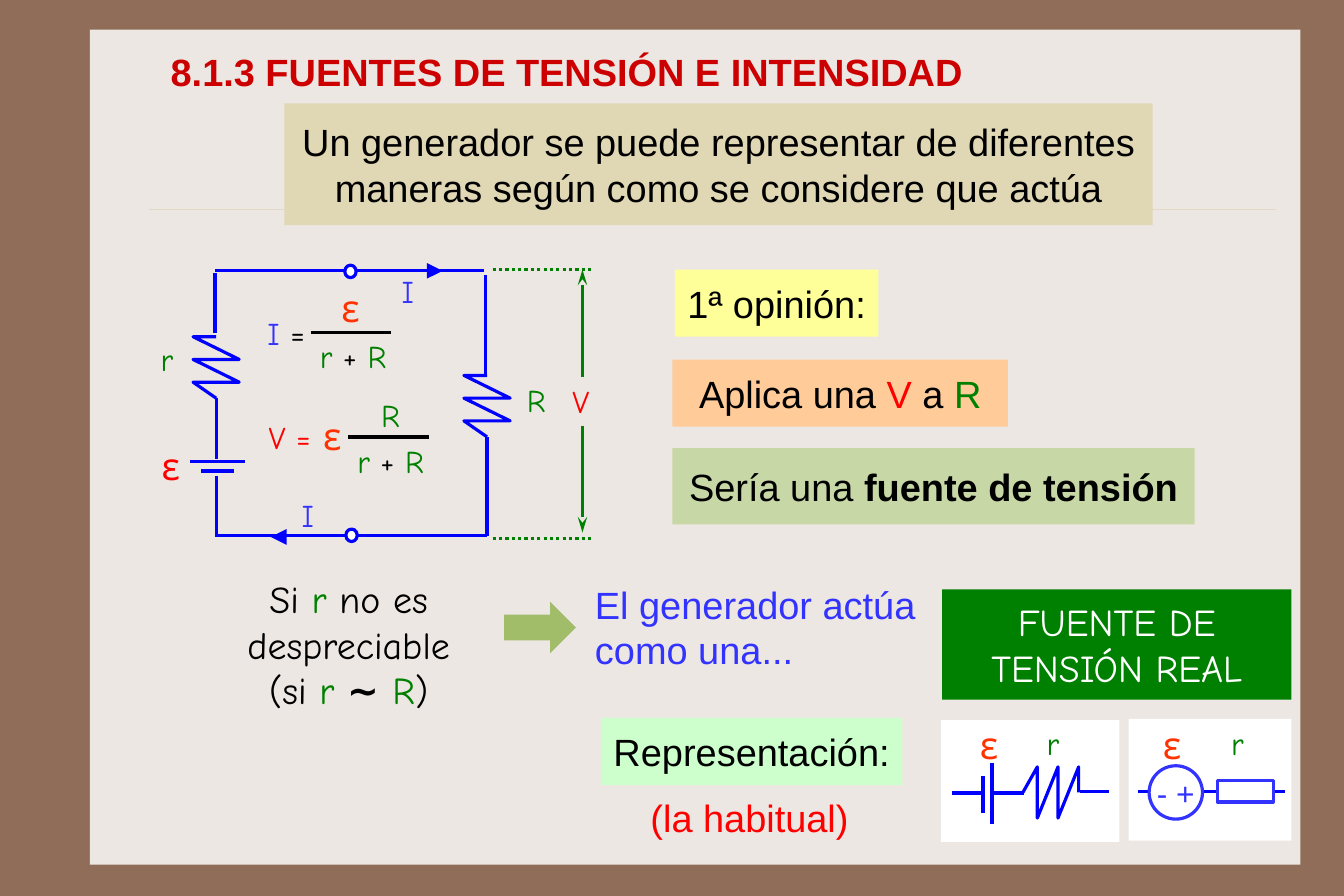
from dataclasses import dataclass

from lxml import etree
from pptx import Presentation
from pptx.dml.color import RGBColor
from pptx.enum import dml, shapes, text
from pptx.oxml import ns
from pptx.util import Pt


@dataclass(frozen=True)
class Theme:
    brown: str = "906D58"
    panel: str = "EDE7E3"
    rule: str = "CBBD83"
    sand: str = "E0D7B5"
    yellow: str = "FFFF99"
    peach: str = "FFCC99"
    sage: str = "C7D7A5"
    mint: str = "CCFFCC"
    olive: str = "A1BD69"
    black: str = "000000"
    white: str = "FFFFFF"
    heading: str = "CC0000"
    red: str = "FF0000"
    emf: str = "FF3300"
    green: str = "008000"
    blue: str = "3333FF"
    wire: str = "0000FF"
    body_font: str = "Arial"
    symbol_font: str = "Comic Neue"
    body_size: int = 24
    symbol_size: int = 20


THEME = Theme()
CENTER, LEFT = text.PP_ALIGN.CENTER, text.PP_ALIGN.LEFT
MIDDLE, TOP = text.MSO_ANCHOR.MIDDLE, text.MSO_ANCHOR.TOP
RECTANGLE = shapes.MSO_SHAPE.RECTANGLE
OVAL = shapes.MSO_SHAPE.OVAL


def rgb(color):
    return RGBColor.from_string(color)


def write(shape, *paragraphs, font=THEME.body_font, size=THEME.body_size,
          align=CENTER, anchor=MIDDLE, inset=(7.2, 6.5), wrap=True):
    """Fill a shape with paragraphs, each a list of (text, colour[, bold]) runs."""
    frame = shape.text_frame
    frame.word_wrap = wrap
    frame.vertical_anchor = anchor
    frame.margin_left = frame.margin_right = Pt(inset[0])
    frame.margin_top = frame.margin_bottom = Pt(inset[1])
    for index, runs in enumerate(paragraphs):
        paragraph = frame.add_paragraph() if index else frame.paragraphs[0]
        paragraph.alignment = align
        paragraph.font.name = font
        paragraph.font.size = Pt(size)
        for content, color, *bold in runs:
            run = paragraph.add_run()
            run.text = content
            run.font.color.rgb = rgb(color)
            if bold:
                run.font.bold = bold[0]


def add_block(slide, kind, box, fill, outline=None):
    shape = slide.shapes.add_shape(kind, *map(Pt, box))
    shape.shadow.inherit = False
    shape.fill.solid()
    shape.fill.fore_color.rgb = rgb(fill)
    if outline:
        shape.line.color.rgb = rgb(outline)
        shape.line.width = Pt(2)
    else:
        shape.line.fill.background()
    return shape


def add_card(slide, box, fill, *runs, **style):
    write(add_block(slide, RECTANGLE, box, fill), runs, **style)


def add_text(slide, box, *paragraphs, **style):
    write(slide.shapes.add_textbox(*map(Pt, box)), *paragraphs, **style)


def add_symbols(slide, left, top, width, *runs, size=THEME.symbol_size):
    """Circuit or formula symbols on one line."""
    add_text(slide, (left, top, width, size * 1.2 + 4), runs,
             font=THEME.symbol_font, size=size, align=LEFT, anchor=TOP,
             inset=(5.8, 2.9), wrap=False)


def add_emf(slide, left, top, color=THEME.emf):
    add_symbols(slide, left, top, 21, ("ε", color), size=THEME.body_size)


def add_line(slide, x1, y1, x2, y2, color=THEME.wire, width=2, head=None, dotted=False):
    """Draw a line; head is the (type, width, length) of the arrowhead at its end."""
    connector = slide.shapes.add_connector(
        shapes.MSO_CONNECTOR.STRAIGHT, *map(Pt, (x1, y1, x2, y2)))
    line = connector.line
    line.color.rgb = rgb(color)
    line.width = Pt(width)
    if dotted:
        line.dash_style = dml.MSO_LINE.ROUND_DOT
    if head:
        tail_end = etree.SubElement(connector.element.spPr.find(ns.qn("a:ln")), ns.qn("a:tailEnd"))
        for name, value in zip(("type", "w", "len"), head):
            tail_end.set(name, value)
    etree.SubElement(connector.element.spPr, ns.qn("a:effectLst"))
    return connector


def add_rule(slide):
    """Faint line across the panel."""
    connector = add_line(slide, 94.3, 132.5, 807.8, 132.5, THEME.rule, 0.25)
    color = connector.element.spPr.find(".//" + ns.qn("a:srgbClr"))
    etree.SubElement(color, ns.qn("a:alpha")).set("val", "50000")


def add_resistor(slide, x, y, length, swing, upright=True):
    """Zigzag that runs up, or to the right, from its starting point."""
    along = (0, 0.26, 0.26, 0.63, 0.63, 1, 1)
    across = (0, -1, 1, -1, 1, -1, 0)
    points = [(Pt(x + b * swing), Pt(y - a * length)) if upright
              else (Pt(x + a * length), Pt(y + b * swing))
              for a, b in zip(along, across)]
    builder = slide.shapes.build_freeform(*points[0])
    builder.add_line_segments(points[1:], close=False)
    shape = builder.convert_to_shape()
    shape.shadow.inherit = False
    shape.fill.background()
    shape.line.color.rgb = rgb(THEME.wire)
    shape.line.width = Pt(2)


def add_fraction_base(slide, left, bar_y):
    """Fraction bar with r + R below it."""
    add_line(slide, left, bar_y, left + 51, bar_y, THEME.black)
    add_symbols(slide, left, bar_y + 0.4, 55,
                ("r ", THEME.green), ("+ ", THEME.black), ("R", THEME.green))


def add_circuit(slide):
    wires = [
        (221, 171.4, 306, 171.4), (136.1, 171.4, 221, 171.4),
        (223.2, 339.1, 308.2, 339.1), (136.1, 339.1, 221, 339.1),
        (308.2, 339.1, 308.2, 276.5), (307.4, 236.9, 307.4, 174.2),
        (136.8, 290.2, 136.8, 252), (136.8, 301, 136.8, 339.1),
        (136.1, 211, 136.1, 172.8),
        (120.2, 292.3, 154.8, 292.3), (127.4, 298.1, 148.3, 298.1),
    ]
    for wire in wires:
        add_line(slide, *wire)
    for x, y in ((136.8, 252), (308.2, 276.5)):
        add_resistor(slide, x, y, 38.9, 14.6)
    for left, top in ((218.2, 167.8), (218.9, 334.8)):
        add_block(slide, OVAL, (left, top, 7.2, 7.9), THEME.white, THEME.wire)
    for x1, x2, y in ((273.6, 280.1, 171.4), (175.7, 171.4, 339.8)):
        add_line(slide, x1, y, x2, y, width=1, head=("triangle", "lg", "lg"))
    for left, top in ((248.4, 169.2), (185, 311)):
        add_symbols(slide, left, top, 23, ("I", THEME.blue))
    add_symbols(slide, 95.8, 212.4, 21, ("r", THEME.green))
    add_symbols(slide, 327.6, 238.3, 23, ("R", THEME.green))
    add_emf(slide, 96.5, 277.2, THEME.red)


def add_voltage_span(slide):
    for y in (170.6, 340.6):
        add_line(slide, 311.8, y, 373.7, y, THEME.green, dotted=True)
    for start, end in ((238.3, 170.6), (269.3, 337)):
        add_line(slide, 368.6, start, 368.6, end, THEME.green, head=("stealth", "med", "lg"))
    add_symbols(slide, 356.4, 239, 24, ("V", THEME.red))


def add_formulas(slide):
    add_symbols(slide, 163.4, 195.8, 42, ("I ", THEME.blue), ("=", THEME.black))
    add_fraction_base(slide, 196.6, 210.2)
    add_emf(slide, 210.2, 177.1)
    add_symbols(slide, 164.2, 261.4, 44, ("V =", THEME.red))
    add_fraction_base(slide, 220.3, 276.5)
    add_emf(slide, 198.7, 258.5)
    add_symbols(slide, 235.4, 247.7, 23, ("R", THEME.green))


def add_battery_symbol(slide):
    add_block(slide, RECTANGLE, (595.4, 455.8, 113, 77), THEME.white)
    add_emf(slide, 614.2, 453.6)
    add_symbols(slide, 656.6, 455, 21, ("r", THEME.green))
    for wire in ((627.8, 483.1, 627.8, 521.3), (622.1, 491, 622.1, 514.8),
                 (629.3, 501.8, 648, 501.8), (621.4, 501.8, 602.6, 501.8),
                 (683.3, 501.1, 702, 501.1)):
        add_line(slide, *wire)
    add_resistor(slide, 647.3, 501.5, 35.3, 16.2, upright=False)


def add_source_symbol(slide):
    add_block(slide, RECTANGLE, (714.2, 455, 103, 77), THEME.white)
    add_emf(slide, 730.1, 453.6)
    add_symbols(slide, 773.3, 455, 21, ("r", THEME.green))
    add_line(slide, 812.9, 501.1, 720, 501.1)
    add_block(slide, RECTANGLE, (770.4, 493.9, 35.3, 13.7), THEME.white, THEME.blue)
    source = add_block(slide, OVAL, (727.2, 484.6, 33.8, 33.8), THEME.white, THEME.blue)
    write(source, [("- +", THEME.blue)], size=THEME.symbol_size, inset=(0, 0), wrap=False)


def main():
    presentation = Presentation()
    presentation.slide_width, presentation.slide_height = Pt(850.5), Pt(567)
    slide = presentation.slides.add_slide(presentation.slide_layouts[6])
    slide.background.fill.solid()
    slide.background.fill.fore_color.rgb = rgb(THEME.brown)
    black, green, red = THEME.black, THEME.green, THEME.red

    add_block(slide, RECTANGLE, (56.9, 18.7, 766.1, 528.5), THEME.panel)
    add_rule(slide)
    add_text(slide, (100.1, 26.6, 689.8, 36.7),
             [("8.1.3 FUENTES DE TENSIÓN E INTENSIDAD", THEME.heading, True)],
             align=LEFT, inset=(7.9, 3.6))
    add_card(slide, (180, 65.5, 549.4, 77), THEME.sand,
             ("Un generador se puede representar de diferentes maneras "
              "según como se considere que actúa", black))

    add_circuit(slide)
    add_voltage_span(slide)
    add_formulas(slide)

    add_card(slide, (427, 170.6, 128.9, 42.5), THEME.yellow, ("1ª opinión:", black), wrap=False)
    add_card(slide, (425.5, 227.5, 212.4, 42.5), THEME.peach,
             ("Aplica una ", black), ("V", red), (" a ", black), ("R", green))
    add_card(slide, (425.5, 283.7, 330.5, 48.2), THEME.sage,
             ("Sería una ", black), ("fuente de tensión", black, True), wrap=False)

    add_text(slide, (102.2, 361.4, 236.9, 93.6),
             [("Si ", black), ("r", green), (" no es despreciable", black)],
             [("(si", black), (" r ", green), ("∼ ", black, True), ("R", green), (")", black)],
             font=THEME.symbol_font, anchor=TOP, inset=(5.8, 2.9))
    add_block(slide, shapes.MSO_SHAPE.RIGHT_ARROW, (319, 380.9, 45.4, 32.4), THEME.olive)
    add_text(slide, (369.4, 361.4, 217.4, 71.3),
             [("El generador actúa como una...", THEME.blue)], align=LEFT, anchor=TOP)
    add_card(slide, (596.2, 373, 221, 69.8), green,
             ("FUENTE DE TENSIÓN REAL", THEME.white), font=THEME.symbol_font, inset=(5.8, 5.8))
    add_card(slide, (380.2, 454.3, 190.8, 42.5), THEME.mint,
             ("Representación:", black), wrap=False)
    add_text(slide, (404.6, 499, 141, 36), [("(la habitual)", red)],
             align=LEFT, anchor=TOP, inset=(7.2, 3.6), wrap=False)
    add_battery_symbol(slide)
    add_source_symbol(slide)
    presentation.save("out.pptx")


if __name__ == "__main__":
    main()
